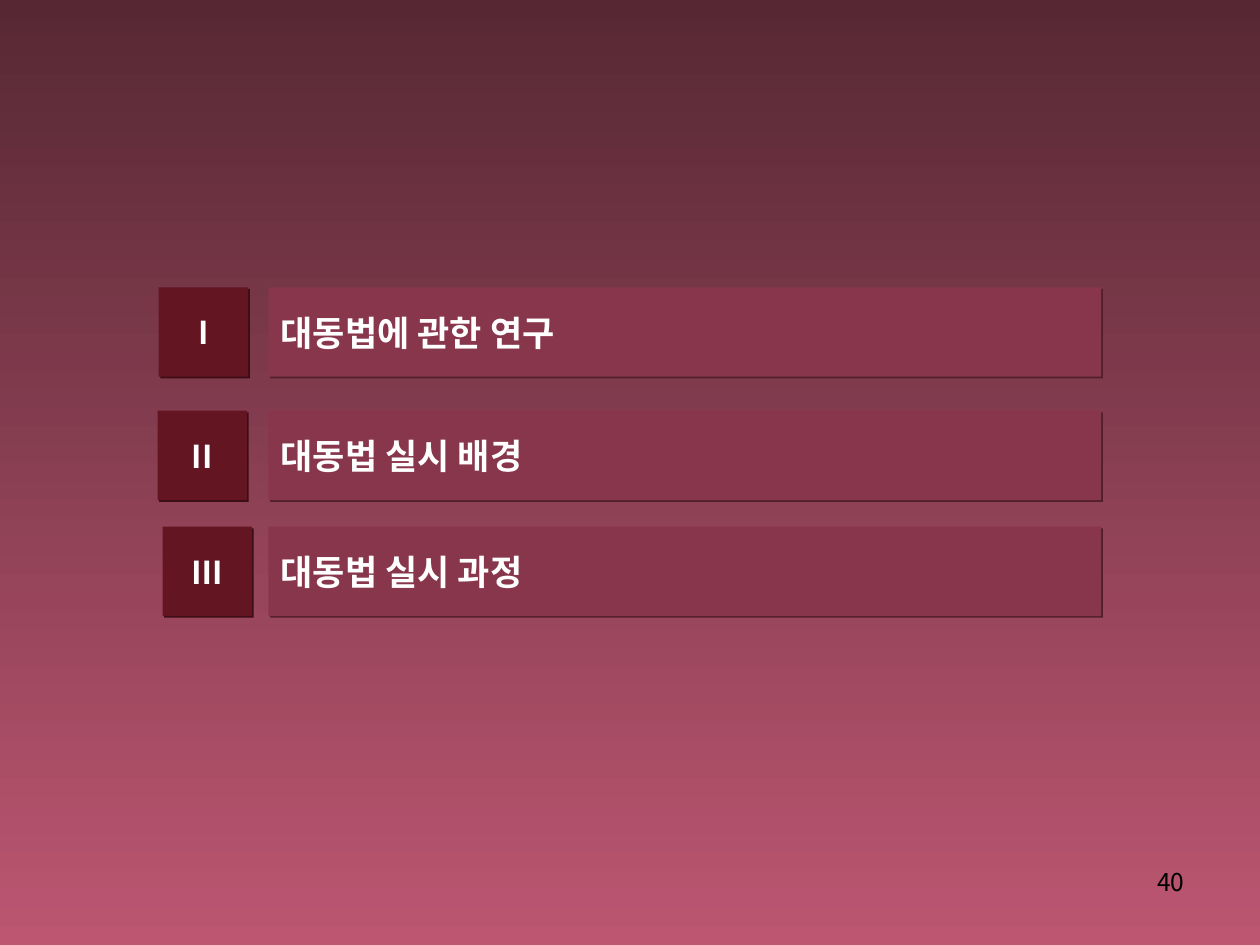
from lxml import etree
from pptx import Presentation
from pptx.dml.color import RGBColor
from pptx.enum.shapes import MSO_SHAPE
from pptx.enum.text import MSO_ANCHOR, PP_ALIGN
from pptx.oxml.ns import qn
from pptx.util import Inches, Pt

RECT = MSO_SHAPE.RECTANGLE
MIDDLE = MSO_ANCHOR.MIDDLE
LEFT, CENTER, RIGHT = PP_ALIGN.LEFT, PP_ALIGN.CENTER, PP_ALIGN.RIGHT

FONT = "Noto Sans CJK KR"
TOP = RGBColor(0x57, 0x28, 0x34)
BOTTOM = RGBColor(0xBC, 0x56, 0x71)
DARK = RGBColor(0x63, 0x15, 0x22)
DARK_SHADE = RGBColor(0x3B, 0x0D, 0x14)
ROSE = RGBColor(0x88, 0x36, 0x4B)
ROSE_SHADE = RGBColor(0x52, 0x20, 0x2D)
WHITE = RGBColor(0xFF, 0xFF, 0xFF)
BLACK = RGBColor(0x00, 0x00, 0x00)

SIDE = 0.71
BAR_LEFT, BAR_WIDTH = 2.13, 6.61
# numeral, its left edge, row top, title
ROWS = [
    ("I", 1.26, 2.28, "대동법에 관한 연구"),
    ("II", 1.25, 3.26, "대동법 실시 배경"),
    ("Ⅲ", 1.29, 4.18, "대동법 실시 과정"),
]


def write(frame, text, size, color, bold=False, align=LEFT):
    para = frame.paragraphs[0]
    para.alignment = align
    run = para.add_run()
    run.text = text
    font = run.font
    font.name, font.size, font.bold = FONT, Pt(size), bold
    font.color.rgb = color
    latin = run._r.get_or_add_rPr().find(qn("a:latin"))
    east = etree.Element(qn("a:ea"), typeface=FONT)
    latin.addnext(east)


def shade(shape, color):
    """Give the shape a hard shadow, down and to the right."""
    shape.shadow.inherit = False
    effects = shape._element.spPr.find(qn("a:effectLst"))
    outer = etree.SubElement(
        effects, qn("a:outerShdw"), blurRad="0", dist=str(Pt(1.4)),
        dir="2700000", algn="ctr", rotWithShape="0")
    etree.SubElement(outer, qn("a:srgbClr"), val=str(color))


def add_block(slide, box, text, fill, shadow, **style):
    shape = slide.shapes.add_shape(RECT, *map(Inches, box))
    shape.fill.solid()
    shape.fill.fore_color.rgb = fill
    shape.line.fill.background()
    shade(shape, shadow)
    frame = shape.text_frame
    frame.word_wrap = False
    frame.vertical_anchor = MIDDLE
    write(frame, text, color=WHITE, bold=True, **style)


def add_row(slide, left, top, numeral, title):
    add_block(slide, (left, top, SIDE, SIDE), numeral, DARK, DARK_SHADE,
              size=18, align=CENTER)
    add_block(slide, (BAR_LEFT, top, BAR_WIDTH, SIDE), title, ROSE, ROSE_SHADE,
              size=20)


def add_number(slide, box, text):
    frame = slide.shapes.add_textbox(*map(Inches, box)).text_frame
    frame.word_wrap = True
    write(frame, text, size=14, color=BLACK, align=RIGHT)


def paint(slide):
    """Fill the background from dark at the top to rose at the bottom."""
    fill = slide.background.fill
    fill.gradient()
    fill.gradient_angle = 270
    for stop, color in zip(fill.gradient_stops, (TOP, BOTTOM)):
        stop.color.rgb = color


def main():
    deck = Presentation()
    deck.slide_width, deck.slide_height = Inches(10), Inches(7.5)
    slide = deck.slides.add_slide(deck.slide_layouts[6])
    paint(slide)
    add_number(slide, (7.17, 6.83, 2.33, 0.52), "40")
    for numeral, left, top, title in ROWS:
        add_row(slide, left, top, numeral, title)
    deck.save("out.pptx")


if __name__ == "__main__":
    main()
